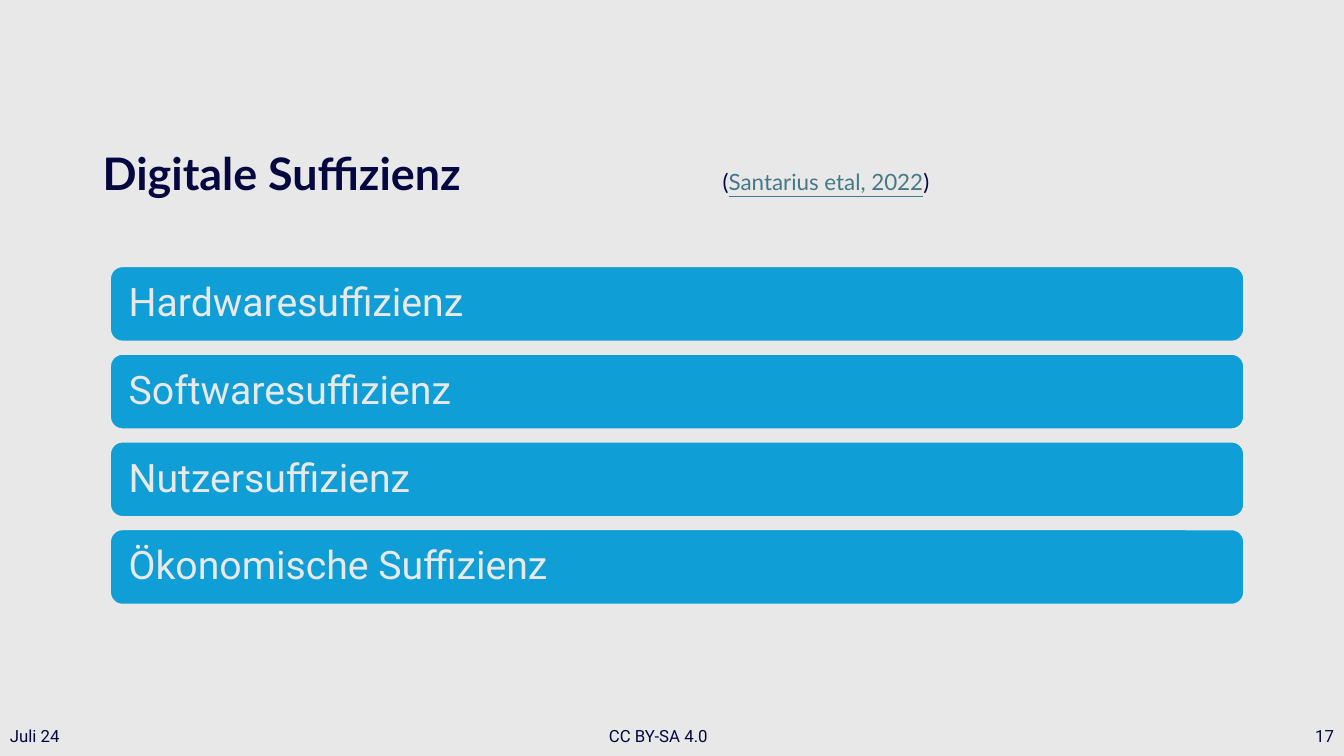
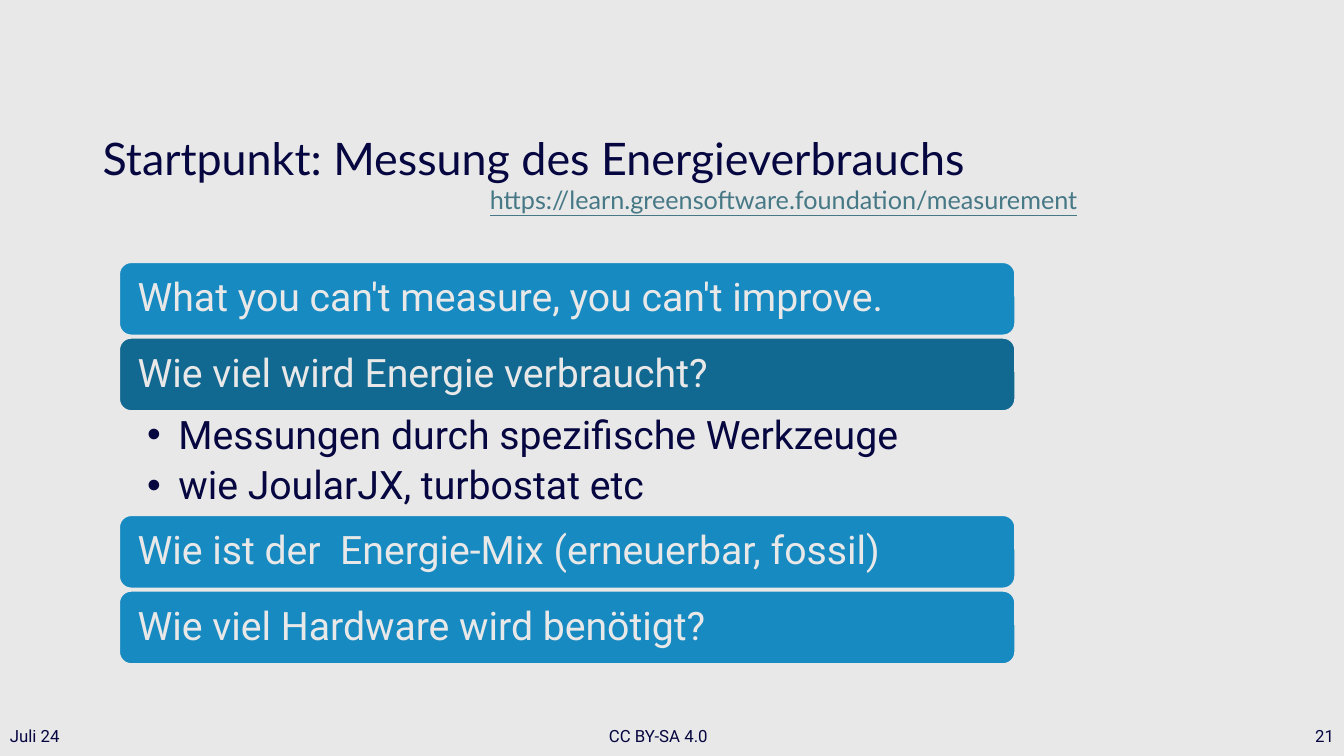
from lxml import etree
from pptx import Presentation
from pptx.dml.color import RGBColor
from pptx.enum.shapes import MSO_SHAPE as Shape
from pptx.enum.text import MSO_ANCHOR as Anchor, PP_ALIGN as Align
from pptx.oxml.ns import qn
from pptx.util import Inches, Pt

COLORS = {
    "paper": "E8E8E8",
    "ink": "060640",
    "link": "467886",
    "sky": "0F9ED5",
    "blue": "178AC1",
    "deep": "116891",
}
TITLE_FONT, BODY_FONT = "Lato", "Roboto"
PAGE_WIDTH, PAGE_HEIGHT = 13.33, 7.5
LINE_SPACING = 0.9


def color(name):
    return RGBColor.from_string(COLORS[name])


def add_span(para, text, size, tint="ink", face=BODY_FONT, bold=False, underline=False):
    span = para.add_run()
    span.text = text
    font = span.font
    font.name, font.size = face, Pt(size)
    font.bold, font.underline = bold, underline
    font.color.rgb = color(tint)


def set_frame(box, side=0.1, edge=0.05, anchor=Anchor.MIDDLE):
    frame = box.text_frame
    frame.word_wrap = True
    frame.vertical_anchor = anchor
    frame.margin_left = frame.margin_right = Inches(side)
    frame.margin_top = frame.margin_bottom = Inches(edge)
    return frame


def add_text_box(page, left, top, width, height, **frame_options):
    box = page.shapes.add_textbox(Inches(left), Inches(top), Inches(width), Inches(height))
    return set_frame(box, **frame_options)


# Title: lines of spans, with one tab stop for the source reference
def add_title(page, lines, tab):
    frame = add_text_box(page, 0.92, 1.24, 11.5, 1.01)
    for index, spans in enumerate(lines):
        para = frame.add_paragraph() if index else frame.paragraphs[0]
        para.line_spacing = LINE_SPACING
        tabs = etree.SubElement(para._p.get_or_add_pPr(), qn("a:tabLst"))
        etree.SubElement(tabs, qn("a:tab"), pos=str(Inches(tab)), algn="l")
        for text, size, style in spans:
            add_span(para, text, size, face=TITLE_FONT, **style)


# Footer: date, licence and page number
def add_footer(page, number):
    parts = [
        ("Juli 24", 0, 3, Align.LEFT),
        ("CC BY-SA 4.0", 4.28, 4.5, Align.CENTER),
        (str(number), PAGE_WIDTH - 3, 3, Align.RIGHT),
    ]
    for text, left, width, align in parts:
        para = add_text_box(page, left, PAGE_HEIGHT - 0.4, width, 0.4).paragraphs[0]
        para.alignment = align
        add_span(para, text, 12)


def add_bar(page, text, fill, left, top, width, height):
    bar = page.shapes.add_shape(
        Shape.ROUNDED_RECTANGLE, Inches(left), Inches(top), Inches(width), Inches(height))
    bar.shadow.inherit = False
    bar.fill.solid()
    bar.fill.fore_color.rgb = color(fill)
    bar.line.color.rgb = color("paper")
    bar.line.width = Pt(1.5)
    para = set_frame(bar, side=0.15, edge=0.12).paragraphs[0]
    para.alignment = Align.LEFT
    para.line_spacing = LINE_SPACING
    add_span(para, text, 28, "paper")


def add_bullets(page, texts, left, top, width, height):
    frame = add_text_box(page, left, top, width, height, side=0.28, edge=0.04, anchor=Anchor.TOP)
    frame.margin_right = Inches(0.22)
    for index, text in enumerate(texts):
        para = frame.add_paragraph() if index else frame.paragraphs[0]
        para.line_spacing = LINE_SPACING
        para.space_after = Pt(6)
        props = para._p.get_or_add_pPr()
        props.set("marL", str(Inches(0.31)))
        props.set("indent", str(-Inches(0.31)))
        etree.SubElement(props, qn("a:buFont"), typeface="Arial")
        etree.SubElement(props, qn("a:buChar"), char="•")
        add_span(para, text, 28)


# Stack of bars; bullets follow their bar without a gap
def add_bar_list(page, items, left, top, width, height, gap, bullets_height=1.03):
    for text, fill, bullets in items:
        add_bar(page, text, fill, left, top, width, height)
        top += height
        if bullets:
            add_bullets(page, bullets, left, top, width, bullets_height)
            top += bullets_height
        else:
            top += gap


def add_page(deck, number, title_lines, tab):
    page = deck.slides.add_slide(deck.slide_layouts[6])
    add_title(page, title_lines, tab)
    add_footer(page, number)
    return page


def build_sufficiency(deck):
    title = [[
        ("Digitale Suffizienz", 32, {"bold": True}),
        ("\t(", 16, {}),
        ("Santarius etal, 2022", 16, {"tint": "link", "underline": True}),
        (")", 16, {}),
    ]]
    page = add_page(deck, 17, title, tab=6.15)
    kinds = ["Hardwaresuffizienz", "Softwaresuffizienz", "Nutzersuffizienz",
             "Ökonomische Suffizienz"]
    add_bar_list(page, [(kind, "sky", []) for kind in kinds],
                 left=1.09, top=2.64, width=11.25, height=0.75, gap=0.12)


def build_measurement(deck):
    title = [
        [("Startpunkt: Messung des Energieverbrauchs", 32, {})],
        [("\t", 20, {}),
         ("https://learn.greensoftware.foundation/measurement", 18,
          {"tint": "link", "underline": True})],
    ]
    page = add_page(deck, 21, title, tab=3.84)
    tools = ["Messungen durch spezifische Werkzeuge", "wie JoularJX, turbostat etc"]
    items = [
        ("What you can't measure, you can't improve.", "blue", []),
        ("Wie viel wird Energie verbraucht?", "deep", tools),
        ("Wie ist der  Energie-Mix (erneuerbar, fossil)", "blue", []),
        ("Wie viel Hardware wird benötigt?", "blue", []),
    ]
    add_bar_list(page, items, left=1.18, top=2.6, width=8.89, height=0.73, gap=0.02)


def main():
    deck = Presentation()
    deck.slide_width, deck.slide_height = Inches(PAGE_WIDTH), Inches(PAGE_HEIGHT)
    backdrop = deck.slide_master.background.fill
    backdrop.solid()
    backdrop.fore_color.rgb = color("paper")
    build_sufficiency(deck)
    build_measurement(deck)
    deck.save("out.pptx")


if __name__ == "__main__":
    main()
